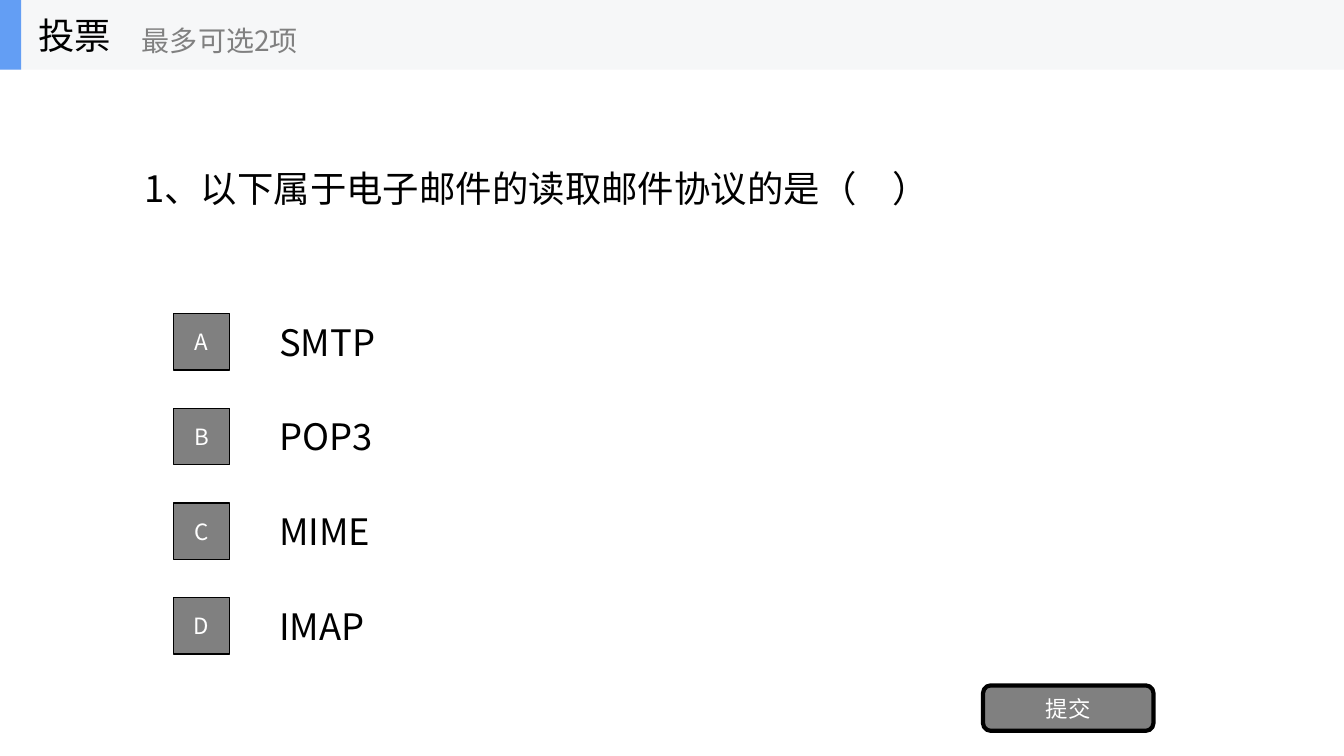
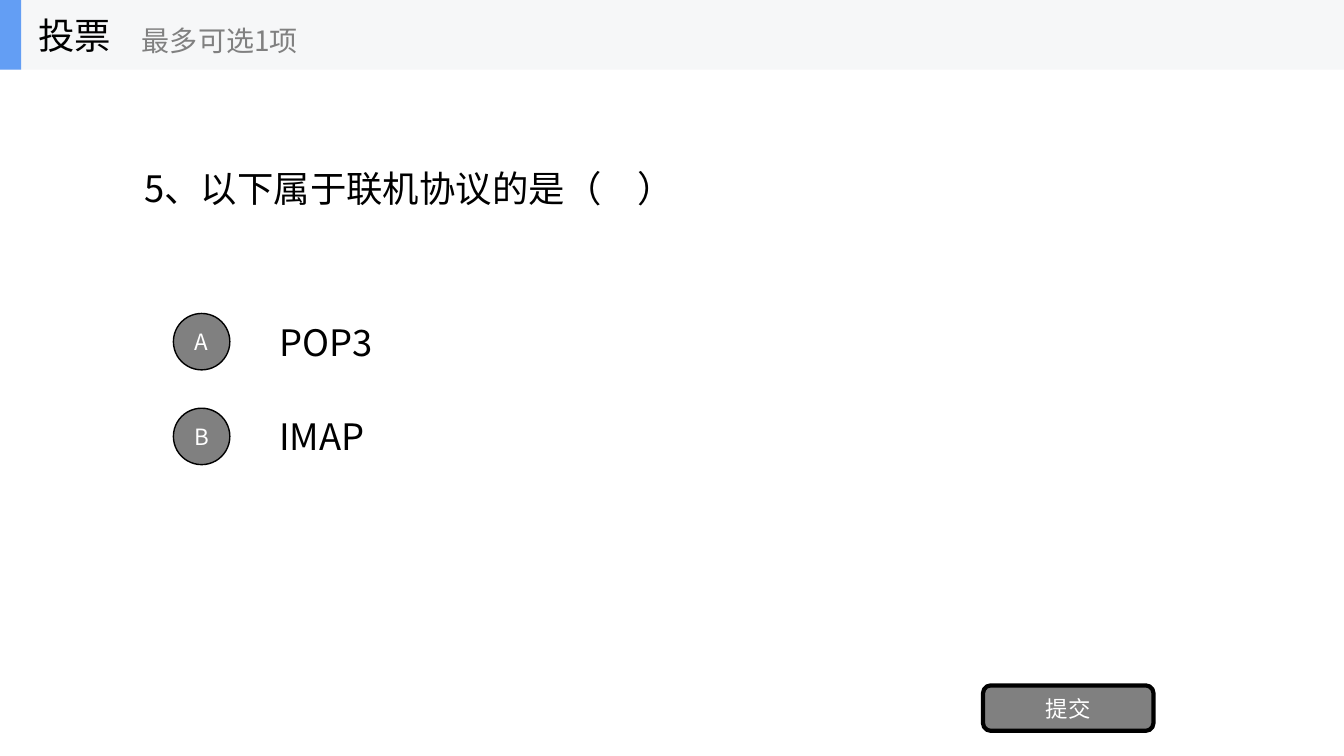
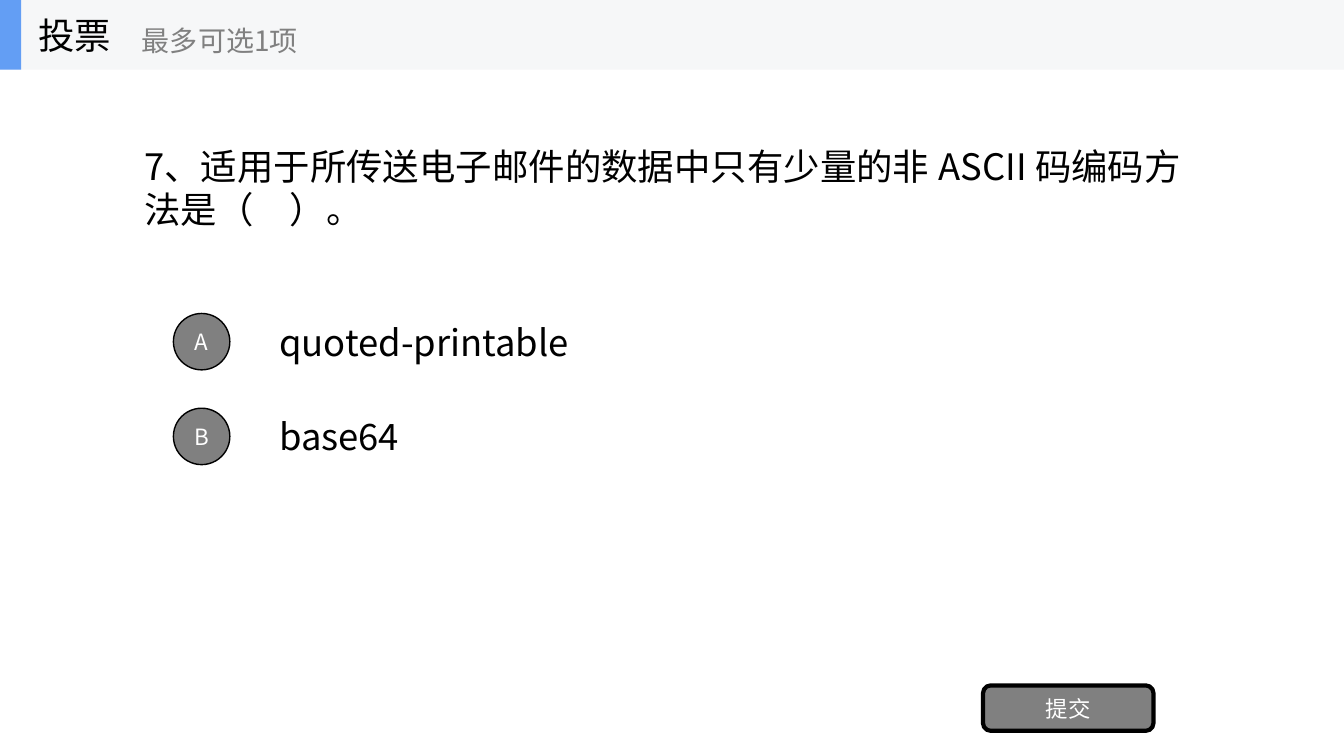
"""Build three poll slides, each with a header band, a question, options and a submit button."""
from lxml import etree
from pptx import Presentation
from pptx import util as u
from pptx.dml.color import RGBColor
from pptx.enum import shapes, text
from pptx.oxml.ns import qn

FONT = "Noto Sans CJK SC"
COLOURS = {
    "ink": "000000",
    "grey": "808080",
    "white": "FFFFFF",
    "band": "F6F7F8",
    "accent": "639EF4",
}
SLIDE_WIDTH, SLIDE_HEIGHT = 13.33, 7.5
BAND_HEIGHT = 0.69
ROW_PITCH = 0.94
RECTANGLE = shapes.MSO_SHAPE.RECTANGLE
ELLIPSE = shapes.MSO_SHAPE.OVAL
ROUNDED = shapes.MSO_SHAPE.ROUNDED_RECTANGLE

POLLS = [
    {
        "limit": "最多可选2项",
        "question": "1、以下属于电子邮件的读取邮件协议的是（　）",
        "options": ["SMTP", "POP3", "MIME", "IMAP"],
        "badge": RECTANGLE,
    },
    {
        "limit": "最多可选1项",
        "question": "5、以下属于联机协议的是（　）",
        "options": ["POP3", "IMAP"],
        "badge": ELLIPSE,
    },
    {
        "limit": "最多可选1项",
        "question": "7、适用于所传送电子邮件的数据中只有少量的非 ASCII 码编码方法是（　）。",
        "options": ["quoted-printable", "base64"],
        "badge": ELLIPSE,
    },
]


def colour(name):
    """Return the named palette colour."""
    return RGBColor.from_string(COLOURS[name])


def inches(*lengths):
    """Convert numbers to lengths in inches."""
    return [u.Inches(length) for length in lengths]


def write(shape, words, size, ink, align=text.PP_ALIGN.LEFT):
    """Put one formatted, vertically centred paragraph in a shape."""
    frame = shape.text_frame
    frame.text = words
    frame.word_wrap = True
    frame.auto_size = text.MSO_AUTO_SIZE.NONE
    frame.vertical_anchor = text.MSO_ANCHOR.MIDDLE
    paragraph = frame.paragraphs[0]
    paragraph.alignment = align
    font = paragraph.runs[0].font
    font.name = FONT
    font.size = u.Pt(size)
    font.color.rgb = colour(ink)
    east_asian = etree.Element(qn("a:ea"), typeface=FONT)
    font._element.find(qn("a:latin")).addnext(east_asian)


def add_label(parent, box, words, size=26, ink="ink"):
    """Add a text box to a slide or group."""
    write(parent.shapes.add_textbox(*inches(*box)), words, size, ink)


def add_panel(parent, kind, box, fill, line_width=0):
    """Add a filled shape, outlined in black when a line width is given."""
    shape = parent.shapes.add_shape(kind, *inches(*box))
    shape.shadow.inherit = False
    shape.fill.solid()
    shape.fill.fore_color.rgb = colour(fill)
    if line_width:
        shape.line.color.rgb = colour("ink")
        shape.line.width = u.Pt(line_width)
    else:
        shape.line.fill.background()
    return shape


def add_button(slide, kind, box, words, line_width):
    """Add a grey shape with white centred text."""
    button = add_panel(slide, kind, box, "grey", line_width)
    write(button, words, 16, "white", text.PP_ALIGN.CENTER)


def add_header(slide, left, top, width, height, limit):
    """Add the grouped header band with its heading and selection limit."""
    header = slide.shapes.add_group_shape()
    add_panel(header, RECTANGLE, (left, top, width, height), "band")
    add_panel(header, RECTANGLE, (left, top, 0.21, height), "accent")
    add_label(header, (left + 0.28, top, 2.08, height), "投票")
    add_label(header, (left + 1.31, top + 0.12, 2.5, 0.56), limit, 20, "grey")


def add_question(slide, left, top, width, height, question):
    """Place the question in the title placeholder."""
    title = slide.shapes.title
    title.left, title.top, title.width, title.height = inches(left, top, width, height)
    write(title, question, 26, "ink")


def add_options(slide, left, top, width, options, badge):
    """Stack lettered options at an equal pitch."""
    for row, (letter, option) in enumerate(zip("ABCD", options)):
        row_top = top + row * ROW_PITCH
        add_label(slide, (left + 0.95, row_top, width - 0.95, 0.7), option)
        add_button(slide, badge, (left, row_top + 0.07, 0.56, 0.56), letter, 1)


def add_poll(presentation, poll):
    """Add one complete poll slide."""
    slide = presentation.slides.add_slide(presentation.slide_layouts[5])
    add_question(slide, 1.33, BAND_HEIGHT, 10.67, 2.34, poll["question"])
    add_options(slide, 1.72, 3.04, 10.28, poll["options"], poll["badge"])
    add_button(slide, ROUNDED, (9.75, 6.8, 1.69, 0.45), "提交", 3)
    add_header(slide, 0, 0, SLIDE_WIDTH, BAND_HEIGHT, poll["limit"])


def main():
    """Build and save the presentation."""
    presentation = Presentation()
    presentation.slide_width = u.Inches(SLIDE_WIDTH)
    presentation.slide_height = u.Inches(SLIDE_HEIGHT)
    for poll in POLLS:
        add_poll(presentation, poll)
    presentation.save("out.pptx")


if __name__ == "__main__":
    main()
